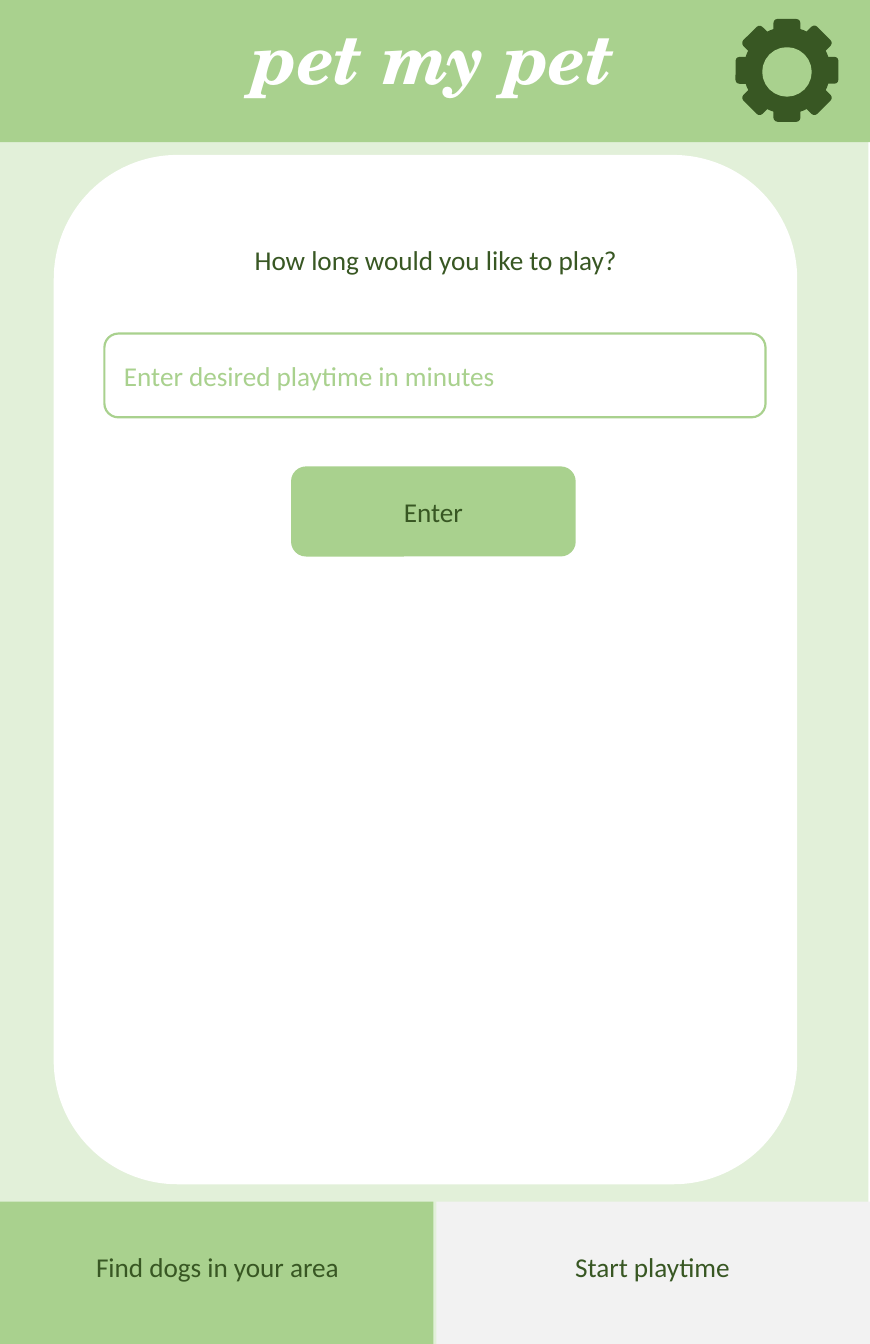
import math
import pptx
import pptx.util
import pptx.dml.color
import pptx.enum.shapes
import pptx.enum.text

PX = 9144
DARK, GREEN, PALE, GREY, WHITE = "385723", "A9D18E", "E2F0D9", "F2F2F2", "FFFFFF"
MSO = pptx.enum.shapes.MSO_SHAPE
ALIGN = pptx.enum.text.PP_ALIGN
ANCHOR = pptx.enum.text.MSO_ANCHOR
BODY = {"name": "Calibri", "size": pptx.util.Pt(12.4)}
TITLE = {"name": "TeX Gyre Schola", "size": pptx.util.Pt(32), "bold": True, "italic": True}

prs = pptx.Presentation()
prs.slide_width = 550 * PX
prs.slide_height = 850 * PX
s = prs.slides.add_slide(prs.slide_layouts[6])


def rgb(color):
    return pptx.dml.color.RGBColor.from_string(color)


def add(kind, box, fill=None, line=None, width=1, text=None, color=DARK,
        align=ALIGN.CENTER, font=BODY):
    box = [v * PX for v in box]
    if kind is None:
        sp = s.shapes.add_textbox(*box)
    else:
        sp = s.shapes.add_shape(kind, *box)
        sp.shadow.inherit = False
        sp.fill.solid()
        sp.fill.fore_color.rgb = rgb(fill)
        if line:
            sp.line.color.rgb = rgb(line)
            sp.line.width = pptx.util.Pt(width)
        else:
            sp.line.fill.background()
    if text:
        tf = sp.text_frame
        tf.word_wrap = True
        tf.vertical_anchor = ANCHOR.MIDDLE if kind else ANCHOR.TOP
        if kind is None:
            tf.auto_size = pptx.enum.text.MSO_AUTO_SIZE.SHAPE_TO_FIT_TEXT
        p = tf.paragraphs[0]
        p.alignment = align
        r = p.add_run()
        r.text = text
        for key, value in font.items():
            setattr(r.font, key, value)
        r.font.color.rgb = rgb(color)
    return sp


RECT, ROUND, OVAL = MSO.RECTANGLE, MSO.ROUNDED_RECTANGLE, MSO.OVAL

add(RECT, (-1, 0, 550, 850), PALE)
add(ROUND, (34, 98, 470, 651), WHITE)
add(None, (84, 149, 383, 31), text="How long would you like to play?")
add(ROUND, (66, 211, 418, 53), WHITE, GREEN, text="Enter desired playtime in minutes",
    color=GREEN, align=ALIGN.LEFT)
add(ROUND, (184, 295, 180, 57), GREEN, text="Enter")

tabs = [("Find dogs in your area", GREEN, 0), ("Start playtime", GREY, 276)]
for i, (text, fill, left) in enumerate(tabs):
    add(RECT, (left, 760, 274, 90), fill)
    add(None, (275 * i, 786, 275, 31), text=text)

add(RECT, (0, 0, 550, 90), GREEN)
add(None, (72, 4, 404, 64), text="pet my pet", color=WHITE, font=TITLE)

add(OVAL, (470, 17, 55, 55), DARK)
add(OVAL, (485, 33, 25, 25), GREEN, GREEN, 4.5)
for angle in range(0, 360, 45):
    x = 497.5 + 25 * math.sin(math.radians(angle))
    y = 44.5 - 25 * math.cos(math.radians(angle))
    sp = add(ROUND, (round(x - 8.5), round(y - 7.5), 17, 15), DARK)
    sp.rotation = angle

prs.save("out.pptx")
